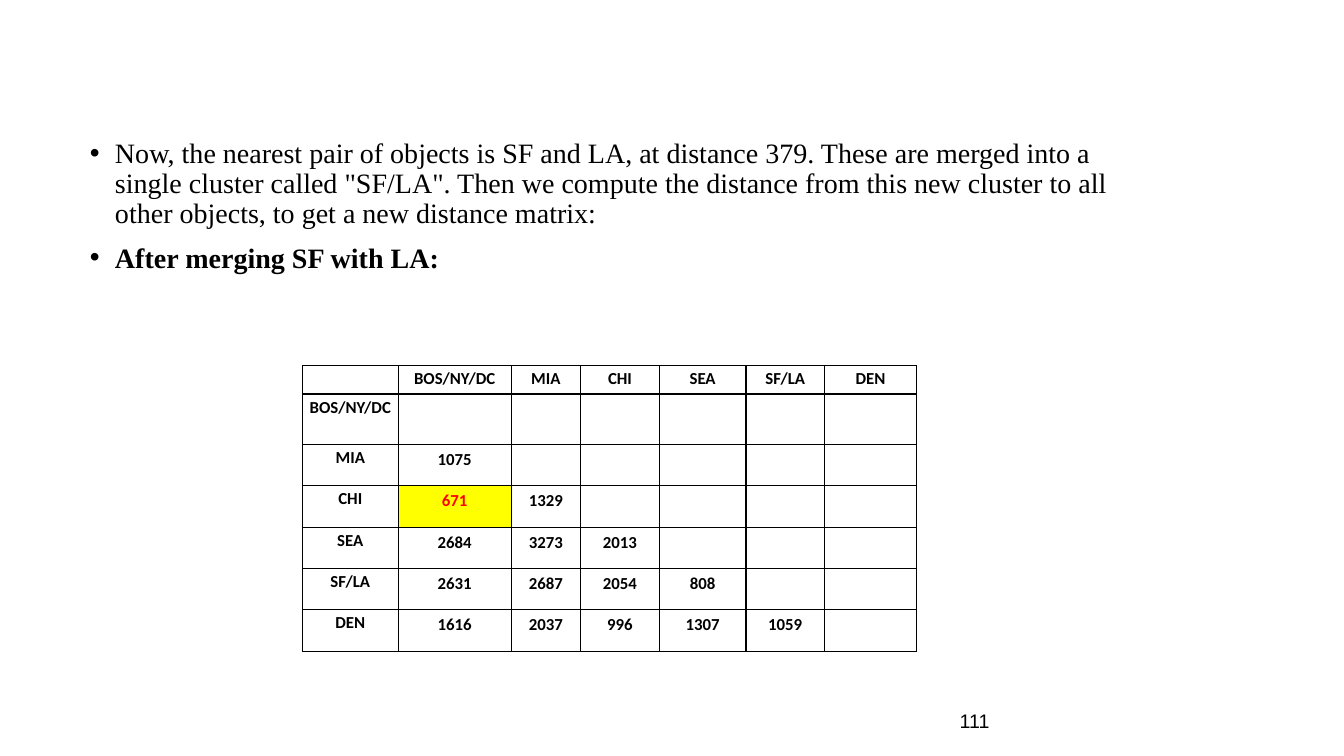
"""Build a slide with the distance matrix after merging SF with LA."""
from dataclasses import dataclass

from lxml import etree
from pptx import Presentation
from pptx.dml.color import RGBColor
from pptx.enum.text import MSO_ANCHOR, MSO_AUTO_SIZE, PP_ALIGN
from pptx.oxml.ns import qn
from pptx.util import Emu, Inches, Pt

CENTER = PP_ALIGN.CENTER
LEFT = PP_ALIGN.LEFT
MIDDLE = MSO_ANCHOR.MIDDLE
NO_FIT = MSO_AUTO_SIZE.NONE
WIDE, HIGH = Inches(13.33), Inches(7.5)
HUES = {"ink": "000000", "paper": "FFFFFF", "mark": "FFFF00", "alert": "FF0000"}
SIDES = ("lnL", "lnR", "lnT", "lnB")


@dataclass
class Area:
    """Hold a place as percent of the slide."""
    left: float
    top: float
    width: float
    height: float

    def box(self) -> tuple[Emu, Emu, Emu, Emu]:
        """Return the place in slide units."""
        return across(self.left), down(self.top), across(self.width), down(self.height)


@dataclass
class Style:
    """Hold the look of some text."""
    face: str
    size: int
    bold: bool = False
    hue: str = "ink"


@dataclass
class Point:
    """Hold one bullet point."""
    text: str
    style: Style
    gap: int


@dataclass
class Entry:
    """Hold one table cell."""
    text: str
    style: Style
    inset: float
    fill: str = "paper"


BODY = Area(5.93, 17.73, 78.77, 61.07)
GRID = Area(22.5, 48.4, 45.69, 37.75)
PAGE = Area(70.67, 92.67, 22.5, 5.33)
COLS = (7.13, 8.4, 5.18, 5.85, 6.45, 5.85, 6.83)
ROWS = (3.73, 6.67) + (5.47,) * 5
POINTS = (
    Point("Now, the nearest pair of objects is SF and LA, at distance 379. These are merged "
          "into a single cluster called \"SF/LA\". Then we compute the distance from this new "
          "cluster to all other objects, to get a new distance matrix:",
          Style("Times New Roman", 20), 0),
    Point("After merging SF with LA:", Style("Times New Roman", 20, True), 10),
)
TOWNS = ("BOS/NY/DC", "MIA", "CHI", "SEA", "SF/LA", "DEN")
MILES = (
    (),
    (1075,),
    (671, 1329),
    (2684, 3273, 2013),
    (2631, 2687, 2054, 808),
    (1616, 2037, 996, 1307, 1059),
)
PLAIN = Style("Calibri", 12, True)
ALERT = Style("Calibri", 12, True, "alert")


def across(part: float) -> Emu:
    """Turn a percent of the slide width into a length."""
    return Emu(round(WIDE * part / 100))


def down(part: float) -> Emu:
    """Turn a percent of the slide height into a length."""
    return Emu(round(HIGH * part / 100))


def place(shape, area: Area) -> None:
    """Move a shape to its area."""
    shape.left, shape.top, shape.width, shape.height = area.box()


def dress(line, style: Style) -> None:
    """Format the runs of a paragraph."""
    for run in line.runs:
        font = run.font
        font.name, font.size, font.bold = style.face, Pt(style.size), style.bold
        font.color.rgb = RGBColor.from_string(HUES[style.hue])


def add_dot(line) -> None:
    """Give a paragraph a hanging bullet."""
    props = line._p.get_or_add_pPr()
    props.set("marL", str(Inches(0.25)))
    props.set("indent", str(-Inches(0.25)))
    etree.SubElement(props, qn("a:buFont")).set("typeface", "Arial")
    etree.SubElement(props, qn("a:buChar")).set("char", "•")


def add_points(slide) -> None:
    """Fill the body placeholder with bullet points."""
    body = slide.placeholders[1]
    place(body, BODY)
    frame = body.text_frame
    frame.auto_size = NO_FIT
    frame.text = "\n".join(point.text for point in POINTS)
    for line, point in zip(frame.paragraphs, POINTS):
        add_dot(line)
        line.line_spacing = 0.9
        line.space_before = Pt(point.gap)
        dress(line, point.style)


def add_edges(cell) -> None:
    """Draw a thin line on each side of a cell."""
    props = cell._tc.get_or_add_tcPr()
    for spot, side in enumerate(SIDES):
        edge = etree.Element(qn(f"a:{side}"), w=str(Pt(1)))
        fill = etree.SubElement(edge, qn("a:solidFill"))
        etree.SubElement(fill, qn("a:srgbClr")).set("val", HUES["ink"])
        props.insert(spot, edge)


def get_entry(row: int, col: int) -> Entry:
    """Find what a cell of the matrix shows."""
    if row == 0 or col == 0:
        town = row + col
        return Entry(TOWNS[town - 1] if town else "", PLAIN, 0.03)
    miles = MILES[row - 1]
    if col > len(miles):
        return Entry("", PLAIN, 0.03)
    value = miles[col - 1]
    least = value == min(min(line) for line in MILES if line)
    return Entry(str(value), ALERT if least else PLAIN, 0.05, "mark" if least else "paper")


def fill_cell(cell, entry: Entry) -> None:
    """Write and format one cell."""
    cell.text_frame.text = entry.text
    line = cell.text_frame.paragraphs[0]
    line.alignment = CENTER
    dress(line, entry.style)
    if not entry.text:
        etree.SubElement(line._p, qn("a:endParaRPr")).set("sz", str(entry.style.size * 100))
    inset = Inches(entry.inset)
    cell.margin_left = cell.margin_right = cell.margin_top = cell.margin_bottom = inset
    cell.fill.solid()
    cell.fill.fore_color.rgb = RGBColor.from_string(HUES[entry.fill])
    add_edges(cell)


def add_grid(slide) -> None:
    """Draw the distance matrix."""
    table = slide.shapes.add_table(len(ROWS), len(COLS), *GRID.box()).table
    table.first_row = table.horz_banding = False
    for col, share in zip(table.columns, COLS):
        col.width = across(share)
    for row, share in zip(table.rows, ROWS):
        row.height = down(share)
    for row in range(len(ROWS)):
        for col in range(len(COLS)):
            fill_cell(table.cell(row, col), get_entry(row, col))


def add_page(slide) -> None:
    """Write the page number."""
    frame = slide.shapes.add_textbox(*PAGE.box()).text_frame
    frame.word_wrap = True
    frame.vertical_anchor = MIDDLE
    frame.text = "111"
    line = frame.paragraphs[0]
    line.alignment = LEFT
    dress(line, Style("Arial", 14))


def main() -> None:
    """Build and save the deck."""
    deck = Presentation()
    deck.slide_width, deck.slide_height = WIDE, HIGH
    slide = deck.slides.add_slide(deck.slide_layouts[1])
    title = slide.shapes.title.element
    title.getparent().remove(title)
    add_points(slide)
    add_grid(slide)
    add_page(slide)
    deck.save("out.pptx")


if __name__ == "__main__":
    main()
